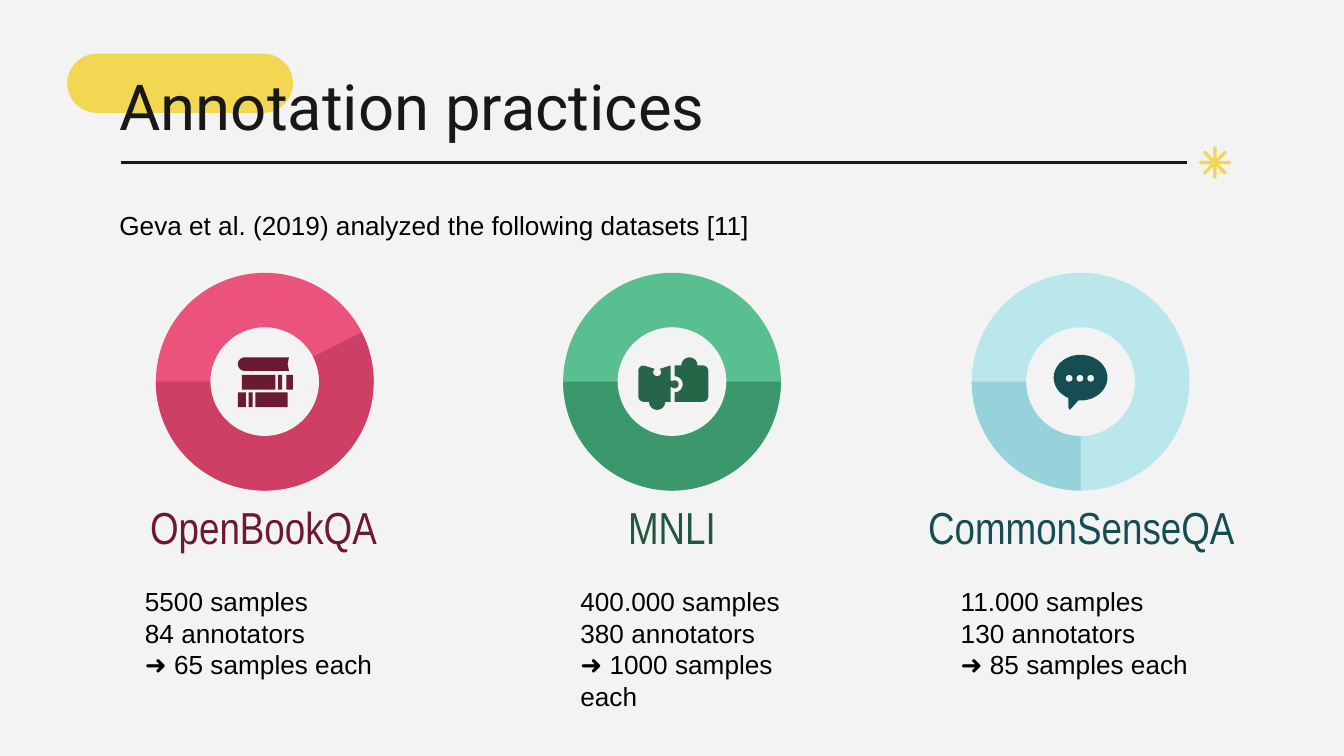
from math import cos, sin, radians
from lxml import etree
from pptx import Presentation
from pptx.dml.color import RGBColor
from pptx.enum.shapes import MSO_CONNECTOR as Link, MSO_SHAPE as Kind
from pptx.enum.text import MSO_ANCHOR as Anchor, MSO_AUTO_SIZE as Auto, PP_ALIGN as Align
from pptx.oxml.ns import qn
from pptx.util import Inches, Pt

INK, PAPER, GOLD = "191819", "F3F3F3", "F2D852"

deck = Presentation()
deck.slide_width = Inches(10)
deck.slide_height = deck.slide_width * 9 // 16
slide = deck.slides.add_slide(deck.slide_layouts[5])
shapes = slide.shapes
slide.background.fill.solid()
slide.background.fill.fore_color.rgb = RGBColor.from_string(PAPER)


def draw(kind, hue, *place):
    """Add a flat shape: a preset in a box, or an outline when kind is a list of points."""
    if isinstance(kind, list):
        dots = [(Inches(x), Inches(y)) for x, y in kind]
        pen = shapes.build_freeform(*dots[0])
        pen.add_line_segments(dots[1:])
        part = pen.convert_to_shape()
    else:
        part = shapes.add_shape(kind, *map(Inches, place))
    part.shadow.inherit = False
    part.fill.solid()
    part.fill.fore_color.rgb = RGBColor.from_string(hue)
    part.line.fill.background()
    return part


def arc(x, y, r, start, end):
    """Points along an arc, with angles in degrees clockwise from the right."""
    turns = [radians(start + (end - start) * i / 16) for i in range(17)]
    return [(x + r * cos(t), y + r * sin(t)) for t in turns]


# Pill, rule and star
pill = draw(Kind.ROUNDED_RECTANGLE, GOLD, 0.5, 0.4, 1.68, 0.44)
pill.adjustments[0] = 0.5
rule = shapes.add_connector(Link.STRAIGHT, *map(Inches, (0.9, 1.21, 8.83, 1.21)))
rule.line.color.rgb = RGBColor.from_string(INK)
rule.line.width = Pt(1.5)
etree.SubElement(rule.element.spPr, qn("a:effectLst"))
star = []
for turn in range(0, 360, 45):
    for r, skew in ((0.11, -7), (0.12, 0), (0.11, 7), (0.03, 22.5)):
        t = radians(turn + skew)
        star.append((9.04 + r * cos(t), 1.21 + r * sin(t)))
draw(star, GOLD)

# Rings: centre, light, dark, start angle and end angle of the dark part
size = 1.62
rings = [
    (1.97, "EB537C", "CE3F66", 333, 180),
    (5, "5ABF90", "3B986D", 0, 180),
    (8.04, "B9E7EC", "96D2D9", 90, 180),
]
for mid, light, dark, start, end in rings:
    box = (mid - size / 2, 2.03, size, size)
    draw(Kind.DONUT, light, *box).adjustments[0] = 0.25
    band = draw(Kind.BLOCK_ARC, dark, *box)
    for i, value in enumerate((start * 0.6, end * 0.6, 0.25)):
        band.adjustments[i] = value

# Books
wine, pine, teal = "6B1B31", "276548", "164D53"
draw(arc(1.82, 2.71, 0.05, 90, 270) + [(2.15, 2.66), (2.14, 2.71), (2.15, 2.76)], wine)
rows = {
    2.79: [(1.8, 0.25), (2.07, 0.03), (2.13, 0.05)],
    2.92: [(1.77, 0.06), (1.85, 0.03), (1.9, 0.24)],
}
for top, blocks in rows.items():
    for left, wide in blocks:
        draw(Kind.RECTANGLE, wine, left, top, wide, 0.11)

# Puzzle
draw(arc(4.79, 2.76, 0.04, 180, 270) + arc(4.89, 2.77, 0.03, 235, -55)
     + [(4.99, 2.72), (4.99, 2.83)] + arc(5.02, 2.86, 0.03, 225, 495)
     + [(4.99, 2.88), (4.99, 2.99)] + arc(4.89, 2.99, 0.06, 0, 180)
     + arc(4.79, 2.95, 0.04, 90, 180), pine)
draw([(5.02, 2.72)] + arc(5.13, 2.72, 0.06, 180, 360)
     + arc(5.23, 2.76, 0.04, 270, 360) + arc(5.23, 2.95, 0.04, 0, 90)
     + [(5.02, 2.99)] + arc(5.02, 2.86, 0.06, 90, -90), pine)

# Speech bubble
draw(Kind.OVAL, teal, 7.84, 2.64, 0.4, 0.34)
draw([(7.95, 2.94), (7.95, 3.03), (7.96, 3.05), (7.97, 3.04), (8.04, 2.96)], teal)
for i in range(3):
    draw(Kind.OVAL, PAPER, 7.93 + 0.08 * i, 2.79, 0.05, 0.05)

# Title, in front of the pill
title = shapes.title
shapes.element.append(title.element)
title.left, title.top, title.width, title.height = map(Inches, (0.79, 0.4, 8.43, 0.65))

# Texts: frame, wording, font, size, colour, alignment, anchor, top and bottom inset
head = ("Arial Narrow", 24)
body = ("Arial", 14, "000000", Align.LEFT, Anchor.TOP, 0.05)
mids = (Align.CENTER, Anchor.MIDDLE, 0.1)
texts = [
    (title, "Annotation practices", "Roboto", 34, INK, Align.LEFT, Anchor.TOP, 0.1),
    ((0.79, 3.71, 2.34, 0.41), "OpenBookQA", *head, wine, *mids),
    ((3.83, 3.71, 2.34, 0.41), "MNLI", *head, "21573E", *mids),
    ((6.52, 3.71, 3.05, 0.41), "CommonSenseQA", *head, teal, *mids),
    ((0.98, 4.31, 1.98, 0.81), "5500 samples\n84 annotators\n➜ 65 samples each", *body),
    ((4.22, 4.31, 1.98, 0.81), "400.000 samples\n380 annotators\n➜ 1000 samples each", *body),
    ((7.05, 4.31, 1.98, 0.81), "11.000 samples\n130 annotators\n➜ 85 samples each", *body),
    ((0.79, 1.51, 8.43, 0.34), "Geva et al. (2019) analyzed the following datasets [11]", *body),
]
for spot, words, face, points, hue, align, anchor, pad in texts:
    box = shapes.add_textbox(*map(Inches, spot)) if isinstance(spot, tuple) else spot
    frame = box.text_frame
    frame.text = words
    frame.word_wrap = True
    frame.auto_size = Auto.NONE
    frame.vertical_anchor = anchor
    frame.margin_left = frame.margin_right = Inches(0.1)
    frame.margin_top = frame.margin_bottom = Inches(pad)
    for para in frame.paragraphs:
        para.alignment = align
        for run in para.runs:
            run.font.name, run.font.size = face, Pt(points)
            run.font.color.rgb = RGBColor.from_string(hue)

deck.save("out.pptx")
